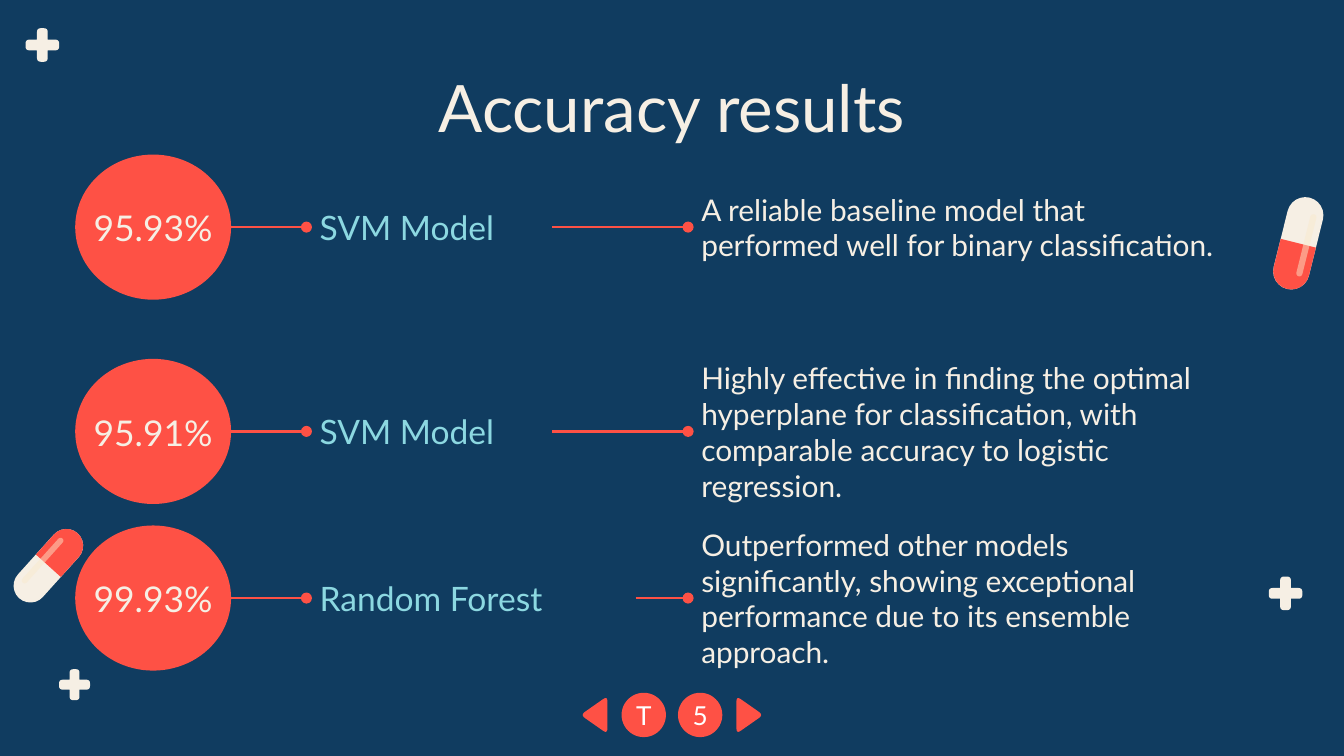
from math import cos, hypot, radians, sin

from lxml.etree import SubElement
from pptx import Presentation
from pptx.dml.color import RGBColor
from pptx.enum.shapes import MSO_CONNECTOR as Connector, MSO_SHAPE as Shape
from pptx.enum.text import MSO_ANCHOR as Anchor, PP_ALIGN as Align
from pptx.oxml.ns import qn
from pptx.util import Inches, Pt

NAVY = RGBColor(0x10, 0x3C, 0x60)
CORAL = RGBColor(0xFE, 0x51, 0x45)
CREAM = RGBColor(0xF6, 0xEF, 0xE4)
SAND = RGBColor(0xFA, 0xE9, 0xCD)
AQUA = RGBColor(0x8C, 0xD8, 0xE1)
WHITE = RGBColor(0xFF, 0xFF, 0xFF)
FONT = "Lato"

RESULTS = [
    (1.15, "95.93%", "SVM Model", 1.83, 4.09,
     "A reliable baseline model that performed well for binary classification."),
    (2.67, "95.91%", "SVM Model", 1.83, 4.31,
     "Highly effective in finding the optimal hyperplane for classification, "
     "with comparable accuracy to logistic regression."),
    (3.91, "99.93%", "Random Forest", 2.45, 4.09,
     "Outperformed other models significantly, showing exceptional performance "
     "due to its ensemble approach."),
]


def paint(shape, color):
    """Give a shape a flat fill without line or shadow."""
    shape.shadow.inherit = False
    shape.fill.solid()
    shape.fill.fore_color.rgb = color
    shape.line.fill.background()


def add_preset(slide, kind, left, top, width, height, color):
    """Add a flat preset shape."""
    shape = slide.shapes.add_shape(
        kind, Inches(left), Inches(top), Inches(width), Inches(height))
    paint(shape, color)
    return shape


def write(shape, text, size, color, align=Align.LEFT, anchor=Anchor.MIDDLE, side=0.1):
    """Write one formatted run into a shape."""
    frame = shape.text_frame
    frame.word_wrap = True
    frame.vertical_anchor = anchor
    frame.margin_left = frame.margin_right = Inches(side)
    frame.margin_top = frame.margin_bottom = Inches(0.1)
    paragraph = frame.paragraphs[0]
    paragraph.alignment = align
    run = paragraph.add_run()
    run.text = text
    run.font.name = FONT
    run.font.size = Pt(size)
    run.font.color.rgb = color


def add_text(slide, left, top, width, height, *content, **layout):
    """Add a text box with one run."""
    box = slide.shapes.add_textbox(
        Inches(left), Inches(top), Inches(width), Inches(height))
    write(box, *content, **layout)


def add_dotted_end_line(slide, start, end, y):
    """Draw a horizontal line that ends in a dot."""
    line = slide.shapes.add_connector(
        Connector.STRAIGHT, Inches(start), Inches(y), Inches(end), Inches(y))
    line.line.color.rgb = CORAL
    line.line.width = Pt(1.5)
    SubElement(line.line._get_or_add_ln(), qn("a:tailEnd"), type="oval")
    SubElement(line._element.spPr, qn("a:effectLst"))


def add_rounded_polygon(slide, corners, color):
    """Draw a polygon whose corners, given as (x, y, radius), are rounded."""
    outline = []
    for index, (x, y, radius) in enumerate(corners):
        neighbors = corners[index - 1], corners[(index + 1) % len(corners)]
        (start_x, start_y), (end_x, end_y) = [
            (x + (nx - x) * radius / hypot(nx - x, ny - y),
             y + (ny - y) * radius / hypot(nx - x, ny - y))
            for nx, ny, _ in neighbors]
        for step in range(7 if radius else 1):
            t = step / 6
            a, b, c = (1 - t) ** 2, 2 * t * (1 - t), t ** 2
            outline.append((Inches(a * start_x + b * x + c * end_x),
                            Inches(a * start_y + b * y + c * end_y)))
    builder = slide.shapes.build_freeform(*outline[0])
    builder.add_line_segments(outline[1:], close=True)
    paint(builder.convert_to_shape(), color)


def add_plus(slide, left, top, size):
    """Draw a plus sign with soft outer corners."""
    near, far, soft = size * 0.34, size * 0.66, size * 0.12
    quarter = [(near, near, 0), (near, 0, soft), (far, 0, soft)]
    corners = []
    for _ in range(4):
        corners += [(left + x, top + y, radius) for x, y, radius in quarter]
        quarter = [(size - y, x, radius) for x, y, radius in quarter]
    add_rounded_polygon(slide, corners, CREAM)


def add_pill(slide, center_x, center_y, width, length, angle):
    """Draw a two-colour pill turned by an angle, with a soft highlight."""
    turn = radians(angle)

    def add_part(kind, across, along, part_width, part_length, color):
        """Place one part by its offset from the centre of the pill."""
        x = center_x + across * cos(turn) - along * sin(turn)
        y = center_y + across * sin(turn) + along * cos(turn)
        part = add_preset(slide, kind, x - part_width / 2, y - part_length / 2,
                          part_width, part_length, color)
        part.rotation = angle
        part.adjustments[0] = 0.5
        return part

    add_part(Shape.ROUNDED_RECTANGLE, 0, 0, width, length, CREAM)
    add_part(Shape.ROUND_2_SAME_RECTANGLE, 0, -length / 4, width, length / 2, CORAL)
    highlight = add_part(Shape.ROUNDED_RECTANGLE, -0.23 * width, 0,
                         0.17 * width, 0.68 * length, SAND)
    fill_color = highlight._element.spPr.find(qn("a:solidFill"))[0]
    SubElement(fill_color, qn("a:alpha"), val="49000")


def add_decoration(slide):
    """Scatter the plus signs and pills around the slide edges."""
    add_plus(slide, 0.44, 4.98, 0.23)
    add_pill(slide, 0.36, 4.21, 0.25, 0.65, 42)
    add_plus(slide, 9.44, 4.29, 0.25)
    add_pill(slide, 9.66, 1.81, 0.27, 0.7, 194)
    add_plus(slide, 0.19, 0.21, 0.25)


def add_title(slide, text):
    """Place and format the slide title."""
    title = slide.shapes.title
    title.left, title.top = Inches(0.78), Inches(0.4)
    title.width, title.height = Inches(8.44), Inches(0.63)
    write(title, text, 35, CREAM, align=Align.CENTER, anchor=Anchor.TOP)


def add_navigation(slide, center_x, center_y):
    """Draw the page buttons between two arrows."""
    size = 0.33
    for side, label in ((-1, "T"), (1, "5")):
        button = add_preset(slide, Shape.OVAL, center_x + side * 0.21 - size / 2,
                            center_y - size / 2, size, size, CORAL)
        write(button, label, 14, WHITE, align=Align.CENTER, side=0)
        base, tip = center_x + side * 0.48, center_x + side * 0.68
        add_rounded_polygon(slide, [(base, center_y - 0.14, 0.04),
                                    (tip, center_y, 0.04),
                                    (base, center_y + 0.14, 0.04)], CORAL)


def add_result(slide, left, top, score, model, model_width, note_width, note):
    """Add one row: score circle, model name and remark, joined by lines."""
    circle_width, circle_height = 1.16, 1.08
    middle = top + circle_height / 2
    model_left, note_left = left + 1.72, left + 4.56
    add_text(slide, note_left, middle - 0.29, note_width, 0.58, note, 16, CREAM)
    add_text(slide, model_left, middle - 0.29, model_width, 0.58, model, 18, AQUA)
    add_preset(slide, Shape.OVAL, left, top, circle_width, circle_height, CORAL)
    add_text(slide, left, middle - 0.33, circle_width, 0.67, score, 19, CREAM,
             align=Align.CENTER, side=0)
    add_dotted_end_line(slide, model_left + model_width, note_left, middle)
    add_dotted_end_line(slide, left + circle_width, model_left, middle)


def main():
    """Build and save the slide."""
    presentation = Presentation()
    presentation.slide_width = Inches(10)
    presentation.slide_height = Inches(10 * 9 / 16)
    slide = presentation.slides.add_slide(presentation.slide_layouts[5])
    slide.background.fill.solid()
    slide.background.fill.fore_color.rgb = NAVY
    add_decoration(slide)
    add_title(slide, "Accuracy results")
    add_navigation(slide, 5, 5.32)
    for top, *content in RESULTS:
        add_result(slide, 0.56, top, *content)
    presentation.save("out.pptx")


if __name__ == "__main__":
    main()
